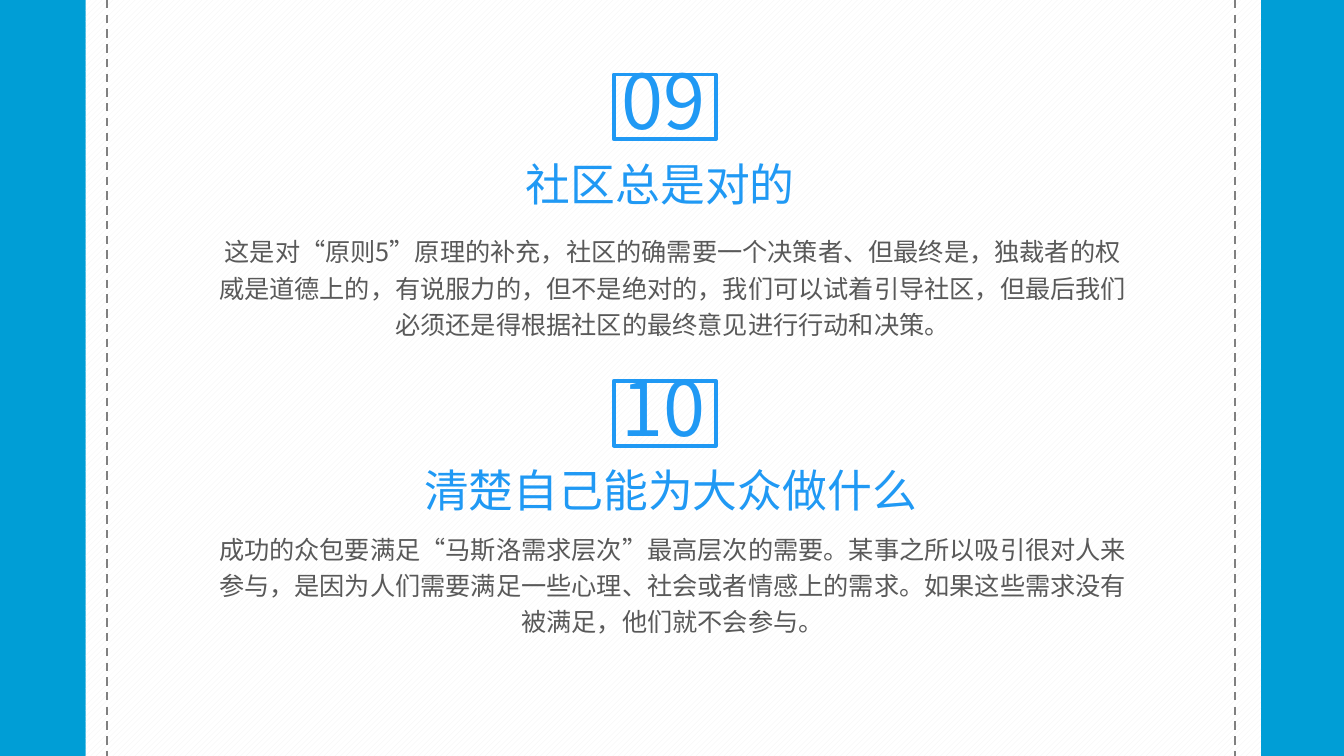
from dataclasses import dataclass

from lxml import etree
from pptx import Presentation
from pptx.dml.color import RGBColor
from pptx.enum.dml import MSO_LINE, MSO_PATTERN
from pptx.enum.shapes import MSO_CONNECTOR, MSO_SHAPE
from pptx.enum.text import MSO_ANCHOR, MSO_AUTO_SIZE, PP_ALIGN
from pptx.oxml.ns import qn
from pptx.util import Cm, Pt

RECTANGLE = MSO_SHAPE.RECTANGLE
STRAIGHT = MSO_CONNECTOR.STRAIGHT
DASH = MSO_LINE.DASH
DIAGONAL = MSO_PATTERN.WIDE_UPWARD_DIAGONAL
TOP = MSO_ANCHOR.TOP
NO_AUTOFIT = MSO_AUTO_SIZE.NONE
LEFT, CENTER, JUSTIFY = PP_ALIGN.LEFT, PP_ALIGN.CENTER, PP_ALIGN.JUSTIFY


@dataclass(frozen=True)
class Theme:
    font: str = "Noto Sans CJK SC"
    backdrop: RGBColor = RGBColor(0x00, 0x9E, 0xD6)
    paper: RGBColor = RGBColor(0xFF, 0xFF, 0xFF)
    stripe: RGBColor = RGBColor(0xF2, 0xF2, 0xF2)
    rule: RGBColor = RGBColor(0x80, 0x80, 0x80)
    accent: RGBColor = RGBColor(0x20, 0x99, 0xF4)
    body: RGBColor = RGBColor(0x59, 0x59, 0x59)
    number_size: int = 54
    heading_size: int = 32
    body_size: int = 18


THEME = Theme()
SLIDE_WIDTH, SLIDE_HEIGHT = 33.87, 19.05

# Each principle: number, heading, heading left and width, body text,
# top of the badge, distance from there to the body (cm)
PRINCIPLES = [
    ("09", "社区总是对的", 13.0, 7.52,
     "这是对“原则5”原理的补充，社区的确需要一个决策者、但最终是，"
     "独裁者的权威是道德上的，有说服力的，但不是绝对的，我们可以试着引导社区，"
     "但最后我们必须还是得根据社区的最终意见进行行动和决策。", 1.88, 3.81),
    ("10", "清楚自己能为大众做什么", 10.44, 13.03,
     "成功的众包要满足“马斯洛需求层次”最高层次的需要。某事之所以吸引很对人来参与，"
     "是因为人们需要满足一些心理、社会或者情感上的需求。"
     "如果这些需求没有被满足，他们就不会参与。", 9.6, 3.58),
]


def write_text(slide, text, box, *, size, color, align=LEFT, spacing=1.0, shape=None):
    """Write text in the given shape, or in a new text box."""
    lengths = [Cm(value) for value in box]
    if shape is None:
        shape = slide.shapes.add_textbox(*lengths)
    shape.left, shape.top, shape.width, shape.height = lengths
    frame = shape.text_frame
    frame.word_wrap = True
    frame.auto_size = NO_AUTOFIT
    frame.vertical_anchor = TOP
    paragraph = frame.paragraphs[0]
    paragraph.alignment = align
    paragraph.line_spacing = spacing
    paragraph.space_before = Pt(0)
    run = paragraph.add_run()
    run.text = text
    run.font.name = THEME.font
    run.font.size = Pt(size)
    run.font.color.rgb = color
    east_asian = etree.SubElement(run.font._element, qn("a:ea"))
    east_asian.set("typeface", THEME.font)


def add_dashed_rule(slide, x, top, height):
    rule = slide.shapes.add_connector(STRAIGHT, Cm(x), Cm(top), Cm(x), Cm(top + height))
    rule.line.color.rgb = THEME.rule
    rule.line.width = Pt(1.5)
    rule.line.dash_style = DASH
    etree.SubElement(rule.element.spPr, qn("a:effectLst"))


def add_panel(slide, left, top, width, height):
    """Striped sheet with a dashed rule inside each side."""
    panel = slide.shapes.add_shape(RECTANGLE, Cm(left), Cm(top), Cm(width), Cm(height))
    panel.shadow.inherit = False
    panel.fill.patterned()
    panel.fill.pattern = DIAGONAL
    panel.fill.fore_color.rgb = THEME.stripe
    panel.fill.back_color.rgb = THEME.paper
    panel.line.fill.background()
    for x in (left + 0.53, left + width - 0.66):
        add_dashed_rule(slide, x, top, height)


def add_principle(slide, principle, left, width, title=None):
    number, heading, heading_left, heading_width, body, top, body_offset = principle

    # Framed number
    badge_left = left + 10.24
    badge = slide.shapes.add_shape(
        RECTANGLE, Cm(badge_left), Cm(top), Cm(2.57), Cm(1.63))
    badge.shadow.inherit = False
    badge.fill.background()
    badge.line.color.rgb = THEME.accent
    badge.line.width = Pt(2.75)
    write_text(slide, number, (badge_left - 0.05, top - 0.64, 2.95, 2.57),
               size=THEME.number_size, color=THEME.accent)

    # Heading and body
    write_text(slide, heading, (heading_left, top + 1.94, heading_width, 1.63),
               size=THEME.heading_size, color=THEME.accent, align=JUSTIFY, shape=title)
    write_text(slide, body, (left, top + body_offset, width, 3.02),
               size=THEME.body_size, color=THEME.body, align=CENTER, spacing=1.2)


def build_principles_slide(presentation):
    slide = presentation.slides.add_slide(presentation.slide_layouts[5])
    slide.background.fill.solid()
    slide.background.fill.fore_color.rgb = THEME.backdrop
    add_panel(slide, 2.16, 0, 29.62, SLIDE_HEIGHT)

    # The first heading is the slide title, brought in front of the panel
    title = slide.shapes.title
    title.element.getparent().append(title.element)
    for principle, heading_shape in zip(PRINCIPLES, (title, None)):
        add_principle(slide, principle, 5.23, 23.44, heading_shape)


def main():
    presentation = Presentation()
    presentation.slide_width = Cm(SLIDE_WIDTH)
    presentation.slide_height = Cm(SLIDE_HEIGHT)
    build_principles_slide(presentation)
    presentation.save("out.pptx")


if __name__ == "__main__":
    main()
